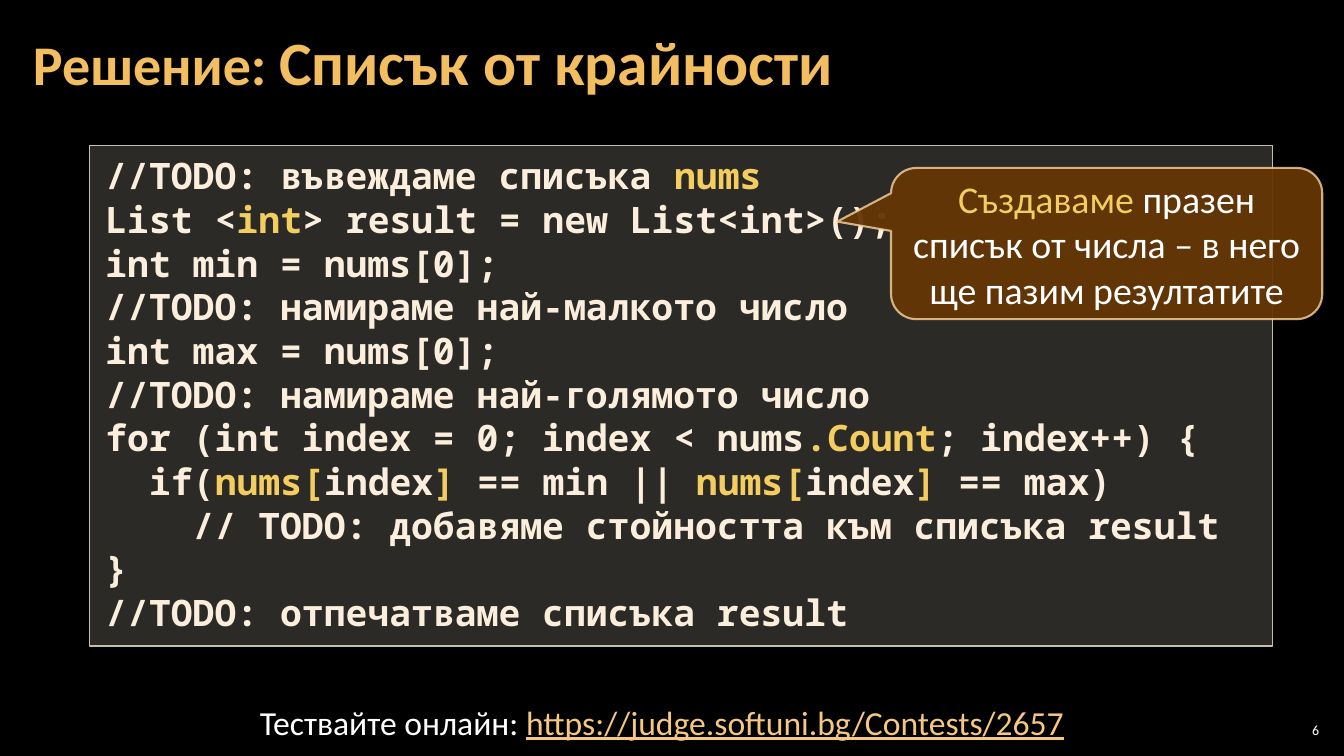
from lxml.etree import SubElement
from pptx import Presentation
from pptx.dml.color import RGBColor
from pptx.enum.shapes import MSO_SHAPE
from pptx.enum.text import MSO_ANCHOR, PP_ALIGN
from pptx.oxml.ns import qn
from pptx.util import Pt

COLORS = {
    "background": "000000",
    "title": "F3BE60",
    "code": "FBEEDC",
    "accent": "F3CD60",
    "code_fill": "D9D5C7",
    "code_line": "C7BFAC",
    "callout_fill": "663606",
    "callout_line": "F8D49E",
    "text": "FFFFFF",
    "link": "F6C781",
}
BODY_FONT = "Calibri"
CODE_FONT = "Noto Sans Mono"

CODE_LINES = [
    "//TODO: въвеждаме списъка ~nums",
    "List <~int~> result = new List<int>();",
    "int min = nums[0];",
    "//TODO: намираме най-малкото число",
    "int max = nums[0];",
    "//TODO: намираме най-голямото число",
    "for (int index = 0; index < nums~.Count~; index++) {",
    "  if(~nums[~index~]~ == min || ~nums[~index~]~ == max)",
    "    // TODO: добавяме стойността към списъка result",
    "}",
    "//TODO: отпечатваме списъка result",
]


def color(name):
    return RGBColor.from_string(COLORS[name])


def set_opacity(fill_format, percent):
    element = fill_format._xPr.find(qn("a:solidFill"))[0]
    SubElement(element, qn("a:alpha"), val=str(percent * 1000))


def add_run(paragraph, text, font_name, size, color_name, bold=False):
    run = paragraph.add_run()
    run.text = text
    run.font.name = font_name
    run.font.size = Pt(size)
    run.font.bold = bold
    run.font.color.rgb = color(color_name)
    return run


def set_frame(text_frame, horizontal, vertical, anchor, wrap=True):
    text_frame.margin_left = text_frame.margin_right = Pt(horizontal)
    text_frame.margin_top = text_frame.margin_bottom = Pt(vertical)
    text_frame.vertical_anchor = anchor
    text_frame.word_wrap = wrap


def add_panel(slide, preset, box, fill, opacity, line, line_width):
    shape = slide.shapes.add_shape(preset, *map(Pt, box))
    shape.shadow.inherit = False
    shape.fill.solid()
    shape.fill.fore_color.rgb = color(fill)
    set_opacity(shape.fill, opacity)
    shape.line.color.rgb = color(line)
    shape.line.width = Pt(line_width)
    return shape


def place_title(slide, left, top, width, height):
    title = slide.shapes.title
    title.left, title.top = Pt(left), Pt(top)
    title.width, title.height = Pt(width), Pt(height)
    set_frame(title.text_frame, 8.5, 2.8, MSO_ANCHOR.MIDDLE)
    paragraph = title.text_frame.paragraphs[0]
    paragraph.alignment = PP_ALIGN.LEFT
    paragraph.line_spacing = 0.9
    add_run(paragraph, "Решение: ", BODY_FONT, 40, "title", True)
    add_run(paragraph, "Списък от крайности", BODY_FONT, 44, "title", True)


def add_code(slide, box):
    panel = add_panel(slide, MSO_SHAPE.RECTANGLE, box, "code_fill", 20, "code_line", 1)
    text_frame = panel.text_frame
    set_frame(text_frame, 11.3, 5.7, MSO_ANCHOR.TOP)
    for number, line in enumerate(CODE_LINES):
        paragraph = text_frame.add_paragraph() if number else text_frame.paragraphs[0]
        paragraph.alignment = PP_ALIGN.LEFT
        for position, piece in enumerate(line.split("~")):
            color_name = "accent" if position % 2 else "code"
            add_run(paragraph, piece, CODE_FONT, 26, color_name, True)


def add_callout(slide, box):
    callout = add_panel(slide, MSO_SHAPE.ROUNDED_RECTANGULAR_CALLOUT, box,
                        "callout_fill", 95, "callout_line", 1.5)
    set_opacity(callout.line.fill, 80)
    for index, adjustment in enumerate((-0.625, -0.145, 0.167)):
        callout.adjustments[index] = adjustment
    set_frame(callout.text_frame, 7.2, 3.6, MSO_ANCHOR.MIDDLE)
    paragraph = callout.text_frame.paragraphs[0]
    paragraph.alignment = PP_ALIGN.CENTER
    add_run(paragraph, "Създаваме ", BODY_FONT, 27, "accent")
    add_run(paragraph, "празен списък от числа – в него ще пазим резултатите",
            BODY_FONT, 27, "text")


def add_page_number(slide, box):
    text_frame = slide.shapes.add_textbox(*map(Pt, box)).text_frame
    set_frame(text_frame, 2.8, 2.8, MSO_ANCHOR.MIDDLE)
    paragraph = text_frame.paragraphs[0]
    paragraph.alignment = PP_ALIGN.RIGHT
    add_run(paragraph, "6", BODY_FONT, 10, "text")


def add_test_address(slide, box):
    text_frame = slide.shapes.add_textbox(*map(Pt, box)).text_frame
    set_frame(text_frame, 7.2, 3.6, MSO_ANCHOR.TOP, False)
    paragraph = text_frame.paragraphs[0]
    add_run(paragraph, "Тествайте онлайн: ", BODY_FONT, 24, "text")
    address = add_run(paragraph, "https://judge.softuni.bg/Contests/2657",
                      BODY_FONT, 24, "link")
    address.font.underline = True


def build_solution_slide(presentation):
    slide = presentation.slides.add_slide(presentation.slide_layouts[5])
    slide.background.fill.solid()
    slide.background.fill.fore_color.rgb = color("background")
    place_title(slide, 15, 3, 765, 87)
    add_code(slide, (64, 104, 845, 357.5))
    add_callout(slide, (636.5, 120, 308, 108))
    add_page_number(slide, (911, 514, 34, 15))
    add_test_address(slide, (178.5, 497.5, 602, 36))


def main():
    presentation = Presentation()
    presentation.slide_width = Pt(960)
    presentation.slide_height = Pt(540)
    build_solution_slide(presentation)
    presentation.save("out.pptx")


if __name__ == "__main__":
    main()
